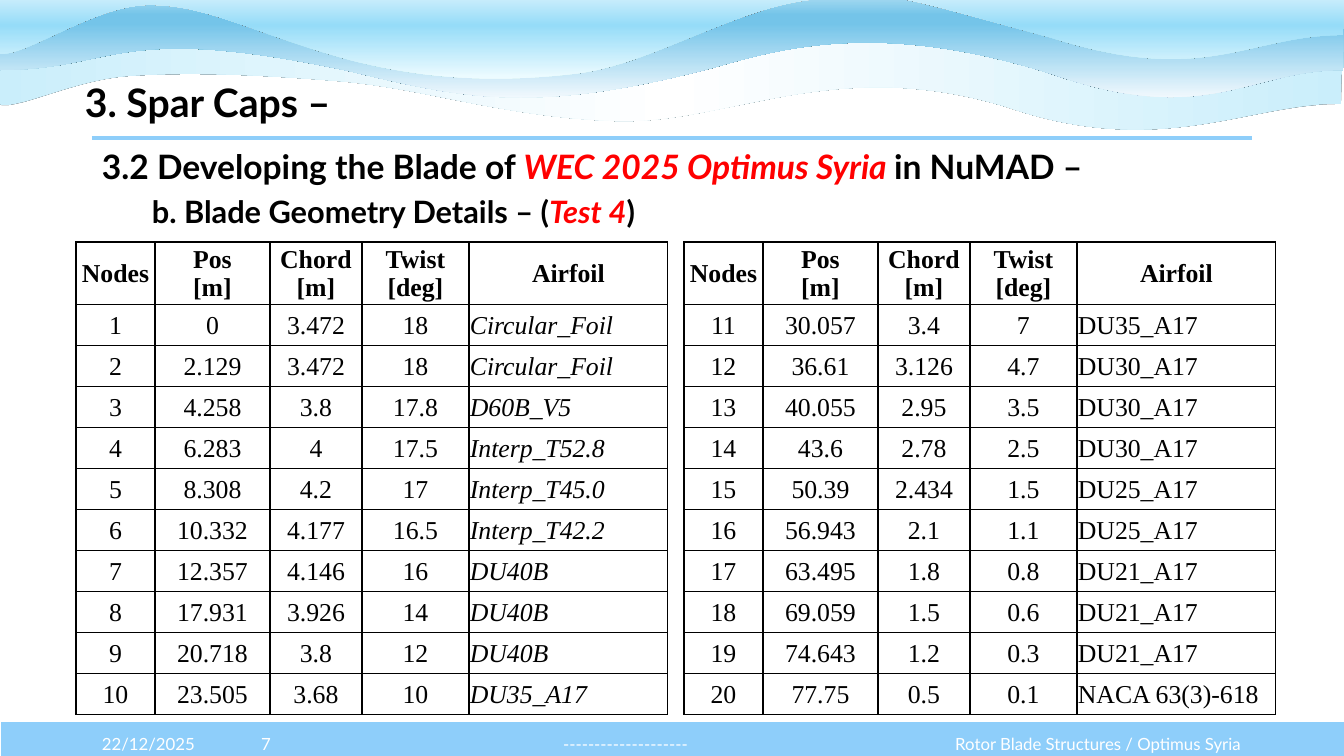
import pptx
import pptx.dml.color
import pptx.enum.shapes
import pptx.enum.text
import pptx.oxml
import pptx.oxml.ns
import pptx.util

PX = 12192000 / 1344
NAMESPACE = pptx.oxml.ns.nsdecls("a")
ALIGN = pptx.enum.text.PP_ALIGN
COLORS = {
    "black": "000000", "white": "FFFFFF", "red": "FF0000", "sky": "8ECEFA",
    "pale": "CAEEFB", "mist": "F0F8FD", "lake": "74C4E9", "haze": "A2D8F0",
    "ice": "EFFCFF", "aqua": "96DCF8",
}


def px(length):
    return pptx.util.Emu(round(length * PX))


def style(font, name, size, color, bold=False, italic=False):
    font.name = name
    font.size = pptx.util.Pt(size)
    font.bold = bold
    font.italic = italic
    font.color.rgb = pptx.dml.color.RGBColor.from_string(COLORS[color])


presentation = pptx.Presentation()
presentation.slide_width = px(1344)
presentation.slide_height = px(756)
slide = presentation.slides.add_slide(presentation.slide_layouts[6])

footer_bar = slide.shapes.add_shape(
    pptx.enum.shapes.MSO_SHAPE.RECTANGLE, px(0), px(721), px(1346), px(40))
footer_bar.shadow.inherit = False
footer_bar.fill.solid()
footer_bar.fill.fore_color.rgb = pptx.dml.color.RGBColor.from_string(COLORS["sky"])
footer_bar.line.color.rgb = pptx.dml.color.RGBColor.from_string(COLORS["white"])
footer_bar.line.width = pptx.util.Pt(1.5)

waves = [
    ((1341, 104),
     [((1248, 103), (1161, 160), (1007, 107)), ((834, 54), (727, 125), (615, 121)),
      ((503, 117), (424, 88), (338, 81)), ((251, 74), (184, 72), (128, 76)),
      ((72, 80), (14, 112), (-2, 104))],
     [(-4, 30), (316, 31), (657, 34), (949, 32), (1343, 34)],
     99, [(0, "pale"), (50, "white"), (100, "pale")], 0),
    ((1343, 70),
     [((1249, 70), (1206, 128), (1052, 74)), ((878, 19), (779, 49), (712, 68)),
      ((532, 115), (463, 98), (349, 71)), ((114, 21), (116, 70), (0, 70))],
     [(1, -1), (316, 0), (659, -2), (954, -1), (1344, 3)],
     99, [(0, "haze"), (17, "lake"), (26, "lake"), (100, "mist")], 90),
    ((1343, 35),
     [((1249, 35), (1206, 87), (1052, 38)), ((879, -9), (898, -7), (820, -1)),
      ((741, 4), (658, 62), (581, 73)), ((502, 83), (427, 80), (350, 60)),
      ((260, 36), (209, 5), (151, 5)), ((93, 4), (22, 61), (-3, 53))],
     [(1, -27), (316, -26), (659, -28), (954, -27), (1344, -24)],
     107, [(0, "white"), (50, "aqua"), (100, "ice")], 90),
]
for start, curves, top_edge, height, stops, angle in waves:
    anchors = [curve[-1] for curve in curves] + top_edge
    builder = slide.shapes.build_freeform(px(start[0]), px(start[1]))
    builder.add_line_segments([(px(x), px(y)) for x, y in anchors], close=True)
    wave = builder.convert_to_shape()
    wave.shadow.inherit = False
    wave.line.fill.background()
    wave.height = px(height)
    properties = wave._element.spPr
    outline = properties.find(".//" + pptx.oxml.ns.qn("a:path"))
    outline.set("h", str(wave.height))
    segments = outline.findall(pptx.oxml.ns.qn("a:lnTo"))
    for segment, curve in zip(segments, curves):
        curve_points = "".join(
            f'<a:pt x="{px(x) - wave.left}" y="{px(y) - wave.top}"/>' for x, y in curve)
        outline.replace(segment, pptx.oxml.parse_xml(
            f"<a:cubicBezTo {NAMESPACE}>{curve_points}</a:cubicBezTo>"))
    stop_list = "".join(
        f'<a:gs pos="{position * 1000}"><a:srgbClr val="{COLORS[color]}"/></a:gs>'
        for position, color in stops)
    gradient = pptx.oxml.parse_xml(
        f'<a:gradFill {NAMESPACE} rotWithShape="1"><a:gsLst>{stop_list}</a:gsLst>'
        f'<a:lin ang="{angle * 60000}" scaled="0"/></a:gradFill>')
    properties.find(pptx.oxml.ns.qn("a:custGeom")).addnext(gradient)
    properties.find(pptx.oxml.ns.qn("a:effectLst")).append(pptx.oxml.parse_xml(
        f'<a:outerShdw {NAMESPACE} blurRad="0" dist="0" dir="0">'
        f'<a:srgbClr val="{COLORS["black"]}"/></a:outerShdw>'))

title_rule = slide.shapes.add_connector(
    pptx.enum.shapes.MSO_CONNECTOR.STRAIGHT, px(92), px(138), px(1252), px(138))
title_rule.line.color.rgb = pptx.dml.color.RGBColor.from_string(COLORS["sky"])
title_rule.line.width = pptx.util.Pt(3)
title_rule._element.spPr.append(pptx.oxml.parse_xml(f"<a:effectLst {NAMESPACE}/>"))

labels = [
    (92, 724, 123, 40, "22/12/2025", ALIGN.LEFT, 12, "white", False),
    (934, 724, 317, 40, "Rotor Blade Structures / Optimus Syria", ALIGN.RIGHT, 12, "white", False),
    (215, 724, 102, 40, "7", ALIGN.CENTER, 12, "white", False),
    (317, 724, 617, 40, "--------------------", ALIGN.CENTER, 12, "white", False),
    (75, 73, 957, 57, "3. Spar Caps –", ALIGN.LEFT, 28, "black", True),
]
for left, top, width, height, text, alignment, size, color, bold in labels:
    frame = slide.shapes.add_textbox(px(left), px(top), px(width), px(height)).text_frame
    frame.word_wrap = True
    frame.vertical_anchor = pptx.enum.text.MSO_ANCHOR.MIDDLE
    paragraph = frame.paragraphs[0]
    paragraph.text = text
    paragraph.alignment = alignment
    style(paragraph.font, "Lato", size, color, bold)

headings = [
    (24, 0, ["3.2 Developing the Blade of ", "WEC 2025 Optimus Syria ", "in NuMAD –"]),
    (22, 50, ["b. Blade Geometry Details – (", "Test 4", ")"]),
]
frame = slide.shapes.add_textbox(px(92), px(141), px(1184), px(106)).text_frame
frame.word_wrap = True
for index, (size, indent, parts) in enumerate(headings):
    paragraph = frame.add_paragraph() if index else frame.paragraphs[0]
    if index:
        paragraph.space_before = pptx.util.Pt(4.4)
        paragraph._p.get_or_add_pPr().set("marL", str(px(indent)))
    for part, color in zip(parts, ["black", "red", "black"]):
        run = paragraph.add_run()
        run.text = part
        style(run.font, "Lato", size, color, True, color == "red")

header = ["Nodes", "Pos\n[m]", "Chord\n[m]", "Twist\n[deg]", "Airfoil"]
column_widths = [79, 115, 92, 107, 199]
nodes = [
    ("0", "3.472", "18", "Circular_Foil"),
    ("2.129", "3.472", "18", "Circular_Foil"),
    ("4.258", "3.8", "17.8", "D60B_V5"),
    ("6.283", "4", "17.5", "Interp_T52.8"),
    ("8.308", "4.2", "17", "Interp_T45.0"),
    ("10.332", "4.177", "16.5", "Interp_T42.2"),
    ("12.357", "4.146", "16", "DU40B"),
    ("17.931", "3.926", "14", "DU40B"),
    ("20.718", "3.8", "12", "DU40B"),
    ("23.505", "3.68", "10", "DU35_A17"),
    ("30.057", "3.4", "7", "DU35_A17"),
    ("36.61", "3.126", "4.7", "DU30_A17"),
    ("40.055", "2.95", "3.5", "DU30_A17"),
    ("43.6", "2.78", "2.5", "DU30_A17"),
    ("50.39", "2.434", "1.5", "DU25_A17"),
    ("56.943", "2.1", "1.1", "DU25_A17"),
    ("63.495", "1.8", "0.8", "DU21_A17"),
    ("69.059", "1.5", "0.6", "DU21_A17"),
    ("74.643", "1.2", "0.3", "DU21_A17"),
    ("77.75", "0.5", "0.1", "NACA 63(3)-618"),
]
for left, first_node, italic_airfoil in [(76, 0, True), (684, 10, False)]:
    rows = [header] + [
        [str(number + 1), *nodes[number]] for number in range(first_node, first_node + 10)]
    table = slide.shapes.add_table(
        len(rows), len(header), px(left), px(242), px(sum(column_widths)), px(472)).table
    for column, width in zip(table.columns, column_widths):
        column.width = px(width)
    for row_index, row in enumerate(rows):
        table.rows[row_index].height = px(41 if row_index else 62)
        for column_index, text in enumerate(row):
            cell = table.cell(row_index, column_index)
            cell.text = text
            cell.vertical_anchor = pptx.enum.text.MSO_ANCHOR.MIDDLE
            cell.margin_left = cell.margin_right = cell.margin_top = px(1)
            cell.margin_bottom = px(0)
            cell.fill.background()
            for position, side in enumerate(["lnL", "lnR", "lnT", "lnB"]):
                cell._tc.tcPr.insert(position, pptx.oxml.parse_xml(
                    f'<a:{side} {NAMESPACE} w="12700"><a:solidFill>'
                    f'<a:srgbClr val="{COLORS["black"]}"/></a:solidFill></a:{side}>'))
            airfoil = row_index > 0 and column_index == 4
            for paragraph in cell.text_frame.paragraphs:
                paragraph.alignment = ALIGN.LEFT if airfoil else ALIGN.CENTER
                style(paragraph.font, "Times New Roman", 18.4, "black",
                      row_index == 0, airfoil and italic_airfoil)

presentation.save("out.pptx")
